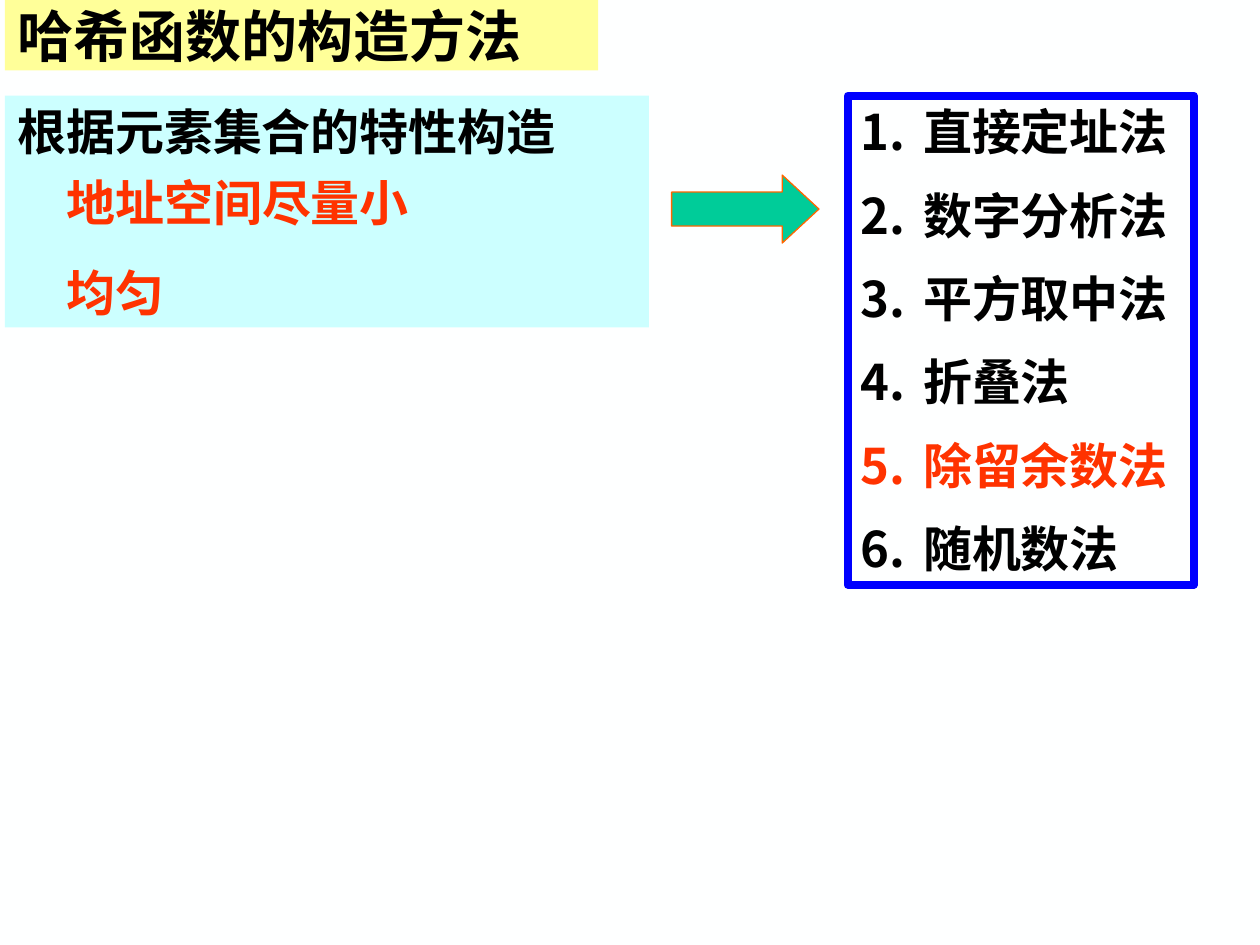
from dataclasses import dataclass

from lxml import etree
from pptx import Presentation
from pptx.dml.color import RGBColor
from pptx.enum.shapes import MSO_SHAPE
from pptx.enum.text import MSO_ANCHOR, PP_ALIGN
from pptx.oxml.ns import qn
from pptx.util import Cm, Pt

RECTANGLE = MSO_SHAPE.RECTANGLE
RIGHT_ARROW = MSO_SHAPE.RIGHT_ARROW
TOP, MIDDLE = MSO_ANCHOR.TOP, MSO_ANCHOR.MIDDLE
LEFT = PP_ALIGN.LEFT

HEI = "Noto Sans CJK SC"
ROMAN = "Times New Roman"
BLACK, RED = "000000", "FF3300"
NUMBER_INDENT = Cm(1.27)


@dataclass
class Line:
    text: str
    color: str = BLACK
    size: float = 28
    font: str = HEI
    space_before: float = 0
    indent: float = 0
    numbered: bool = False


@dataclass
class Box:
    left: float
    top: float
    width: float
    height: float
    fill: str | None = None
    border: str | None = None
    border_width: float = 0
    kind: MSO_SHAPE = RECTANGLE


def rgb(value: str) -> RGBColor:
    return RGBColor.from_string(value)


def add_box(slide, box: Box):
    shape = slide.shapes.add_shape(
        box.kind, Cm(box.left), Cm(box.top), Cm(box.width), Cm(box.height))
    shape.shadow.inherit = False
    if box.fill:
        shape.fill.solid()
        shape.fill.fore_color.rgb = rgb(box.fill)
    else:
        shape.fill.background()
    if box.border:
        shape.line.color.rgb = rgb(box.border)
        shape.line.width = Pt(box.border_width)
    else:
        shape.line.fill.background()
    return shape


def add_number(paragraph, color: str) -> None:
    """Number the paragraph automatically, with a hanging indent."""
    properties = paragraph._p.get_or_add_pPr()
    properties.set("marL", str(NUMBER_INDENT))
    properties.set("indent", str(-NUMBER_INDENT))
    bullet_color = etree.SubElement(properties, qn("a:buClr"))
    etree.SubElement(bullet_color, qn("a:srgbClr"), val=color)
    etree.SubElement(properties, qn("a:buFont"), typeface=HEI)
    etree.SubElement(properties, qn("a:buAutoNum"), type="arabicPeriod")


def write_lines(shape, lines: list[Line], anchor=TOP) -> None:
    frame = shape.text_frame
    frame.word_wrap = True
    frame.vertical_anchor = anchor
    for index, line in enumerate(lines):
        paragraph = frame.add_paragraph() if index else frame.paragraphs[0]
        paragraph.text = line.text
        paragraph.alignment = LEFT
        if index:
            paragraph.space_before = Pt(line.space_before)
        if line.indent:
            paragraph._p.get_or_add_pPr().set("marL", str(Pt(line.indent)))
        if line.numbered:
            add_number(paragraph, line.color)
        font = paragraph.font
        font.size = Pt(line.size)
        font.bold = True
        font.color.rgb = rgb(line.color)
        font.name = line.font
        etree.SubElement(font._element, qn("a:ea"), typeface=HEI)


def main() -> None:
    deck = Presentation()
    deck.slide_width, deck.slide_height = Cm(25.4), Cm(19.05)
    slide = deck.slides.add_slide(deck.slide_layouts[6])
    slide.background.fill.solid()
    slide.background.fill.fore_color.rgb = rgb("FEFFFF")

    title = add_box(slide, Box(0.1, 0, 11.96, 1.42, fill="FFFF99"))
    write_lines(title, [Line("哈希函数的构造方法", size=32)], MIDDLE)

    principles = add_box(slide, Box(0.1, 1.93, 12.98, 4.67, fill="CCFFFF"))
    write_lines(principles, [
        Line("根据元素集合的特性构造", font=ROMAN),
        Line("地址空间尽量小", RED, space_before=7, indent=28),
        Line("均匀", RED, space_before=17.5, indent=28),
    ])

    methods = ["直接定址法", "数字分析法", "平方取中法",
               "折叠法", "除留余数法", "随机数法"]
    highlighted = "除留余数法"
    method_list = add_box(
        slide, Box(17.09, 1.93, 6.98, 9.86, border="0000FF", border_width=4.5))
    write_lines(method_list, [
        Line(method, RED if method == highlighted else BLACK,
             space_before=14, numbered=True)
        for method in methods
    ])

    arrow = add_box(slide, Box(13.54, 3.53, 2.97, 1.37, "00CC99", "FF6600",
                               0.75, RIGHT_ARROW))
    arrow.adjustments[0] = 0.5
    arrow.adjustments[1] = 0.54

    deck.save("out.pptx")


if __name__ == "__main__":
    main()
